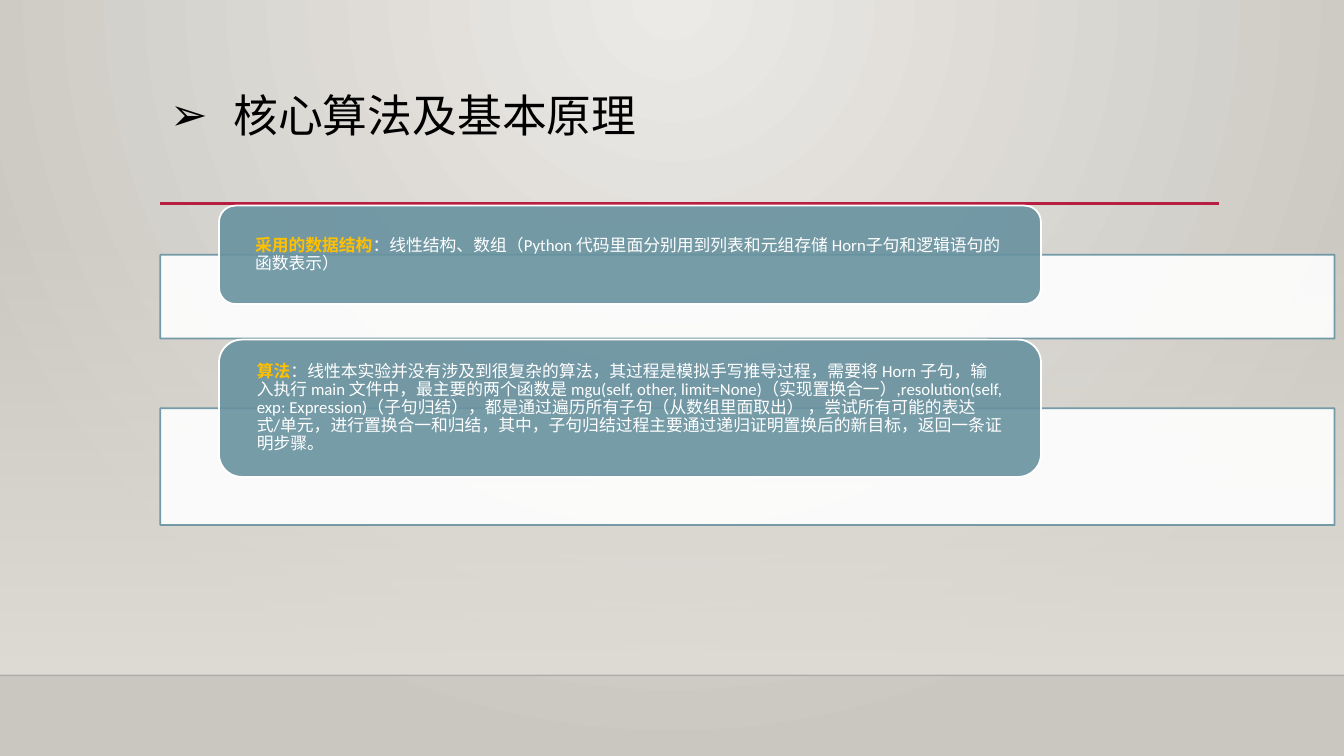
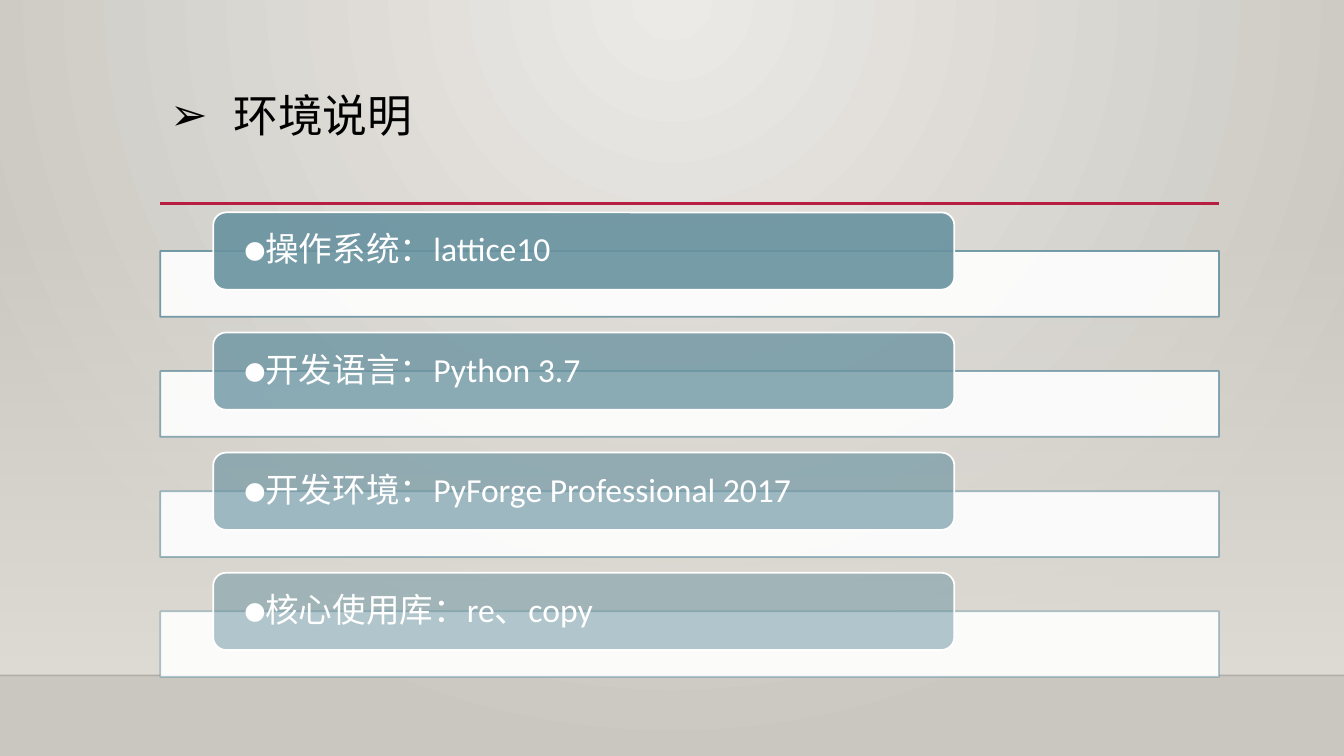
from dataclasses import dataclass
from lxml.etree import SubElement
from pptx import Presentation
from pptx.dml.color import RGBColor
from pptx.enum.lang import MSO_LANGUAGE_ID
from pptx.enum.shapes import MSO_CONNECTOR, MSO_SHAPE
from pptx.enum.text import MSO_ANCHOR, PP_ALIGN
from pptx.oxml.ns import qn
from pptx.util import Pt


@dataclass(frozen=True)
class Theme:
    font: str = "Calibri"
    black: str = "000000"
    white: str = "FFFFFF"
    gold: str = "FFC000"
    teal: str = "6892A0"
    red: str = "B71E42"
    sand: str = "DFDBD5"
    edge: str = "000001"
    glow: tuple = ("ECEAE7", "CAC7C1")
    head: int = 32
    item: int = 24
    note: int = 12
    line: float = 1.25


T = Theme()
WIDE, HIGH = 960, 540
LEFT, SPAN = 114.5, 756.3


def rgb(code):
    return RGBColor.from_string(code)


def fade(part, route, pct):
    tag = "/".join(qn(step) for step in route.split("/"))
    SubElement(part.find(".//" + tag)[0], qn("a:alpha"), val=str(round(pct * 1000)))


def blend(fill, tones):
    fill.gradient()
    for stop, tone in zip(fill.gradient_stops, tones):
        stop.color.rgb = rgb(tone)


def backdrop(master):
    blend(master.background.fill, T.glow)
    grad = master.element.find(".//" + qn("a:gradFill"))
    grad.remove(grad.find(qn("a:lin")))
    ring = SubElement(grad, qn("a:path"), {"path": "circle"})
    SubElement(ring, qn("a:fillToRect"), l="43000", t="0", r="43000", b="100000")


def rule(slide, left, top, width, tone, weight):
    line = slide.shapes.add_connector(
        MSO_CONNECTOR.STRAIGHT, Pt(left), Pt(top), Pt(left + width), Pt(top))
    line.line.color.rgb = rgb(tone)
    line.line.width = Pt(weight)
    SubElement(line.element.spPr, qn("a:effectLst"))
    return line


def block(slide, kind, box):
    shape = slide.shapes.add_shape(kind, *map(Pt, box))
    shape.shadow.inherit = False
    return shape


def panel(slide, kind, box, tone, solid, edge):
    shape = block(slide, kind, box)
    shape.fill.solid()
    shape.fill.fore_color.rgb = rgb(tone)
    fade(shape.element.spPr, "a:solidFill", solid)
    shape.line.color.rgb = rgb(edge)
    shape.line.width = Pt(T.line)
    return shape


def write(para, text, size, tone, bold=False):
    run = para.add_run()
    run.text = text
    font = run.font
    font.name, font.size, font.bold = T.font, Pt(size), bold
    font.color.rgb = rgb(tone)
    font.language_id = MSO_LANGUAGE_ID.SIMPLIFIED_CHINESE


def frame(slide, box):
    left, top, width, height = box
    floor = top + height
    band = block(slide, MSO_SHAPE.RECTANGLE, box)
    blend(band.fill, (T.sand, T.sand))
    band.fill.gradient_angle = 270
    fade(band.element.spPr, "a:gsLst/a:gs", 0)
    band.line.fill.background()
    base = rule(slide, left, floor, width, T.edge, 1)
    fade(base.element.spPr, "a:ln/a:solidFill", 20)
    rule(slide, LEFT, 145.3, SPAN, T.red, 2.5)


def title(slide, box, text):
    area = slide.shapes.add_textbox(*map(Pt, box)).text_frame
    area.word_wrap = True
    para = area.paragraphs[0]
    para.line_spacing = 0.9
    props = para._p.get_or_add_pPr()
    props.set("marL", str(Pt(45)))
    props.set("indent", str(-Pt(45)))
    SubElement(props, qn("a:buFont"), typeface="Wingdings")
    props[-1].set("typeface", "Arial")
    SubElement(props, qn("a:buChar"), char="➢")
    write(para, text, T.head, T.black)


def row(slide, box, solid, inset, runs):
    left, top, width, height = box
    deep = height * 0.63
    bar = panel(slide, MSO_SHAPE.RECTANGLE,
                (left, top + height - deep, width, deep), T.white, 90, T.teal)
    fade(bar.element.spPr, "a:ln/a:solidFill", solid)
    pill = panel(slide, MSO_SHAPE.ROUNDED_RECTANGLE,
                 (left + width * 0.05, top, width * 0.7, height * 0.74),
                 T.teal, solid, T.white)
    area = pill.text_frame
    area.word_wrap = True
    area.vertical_anchor = MSO_ANCHOR.MIDDLE
    area.margin_left = area.margin_right = Pt(inset)
    area.margin_top = area.margin_bottom = 0
    para = area.paragraphs[0]
    para.alignment = PP_ALIGN.LEFT
    para.line_spacing = 0.9
    for run in runs:
        write(para, *run)


def start(deck, text):
    slide = deck.slides.add_slide(deck.slide_layouts[6])
    frame(slide, (0, 159.1, WIDE, 323.3))
    title(slide, (LEFT, 63.4, SPAN, 82.8), text)
    return slide


def theory(deck):
    slide = start(deck, "核心算法及基本原理")
    notes = [
        (146.9, 95, "采用的数据结构",
         "：线性结构、数组（Python 代码里面分别用到列表和元组存储 Horn子句和逻辑语句的函数表示）"),
        (242.6, 132.5, "算法",
         "：线性本实验并没有涉及到很复杂的算法，其过程是模拟手写推导过程，需要将 Horn 子句，"
         "输入执行 main 文件中，最主要的两个函数是 mgu(self, other, limit=None)（实现置换合一）"
         ",resolution(self, exp: Expression)（子句归结），都是通过遍历所有子句（从数组里面取出） ，"
         "尝试所有可能的表达式/单元，进行置换合一和归结，其中，子句归结过程主要通过递归证明置换后的"
         "新目标，返回一条证明步骤。"),
    ]
    for top, height, label, text in notes:
        row(slide, (LEFT, top, 838.8, height), 90, 22.3,
            [(label, T.note, T.gold, True), (text, T.note, T.white)])


def setup(deck):
    slide = start(deck, "环境说明")
    items = ["操作系统：lattice10", "开发语言：Python 3.7",
             "开发环境：PyForge Professional 2017", "核心使用库：re、copy"]
    fall = 40 / (len(items) - 1)
    for i, text in enumerate(items):
        row(slide, (LEFT, 151.7 + i * 85.8, SPAN, 74.6), 90 - i * fall, 20,
            [("⚫" + text, T.item, T.white)])


def main():
    deck = Presentation()
    deck.slide_width, deck.slide_height = Pt(WIDE), Pt(HIGH)
    backdrop(deck.slide_master)
    theory(deck)
    setup(deck)
    deck.save("out.pptx")


if __name__ == "__main__":
    main()
